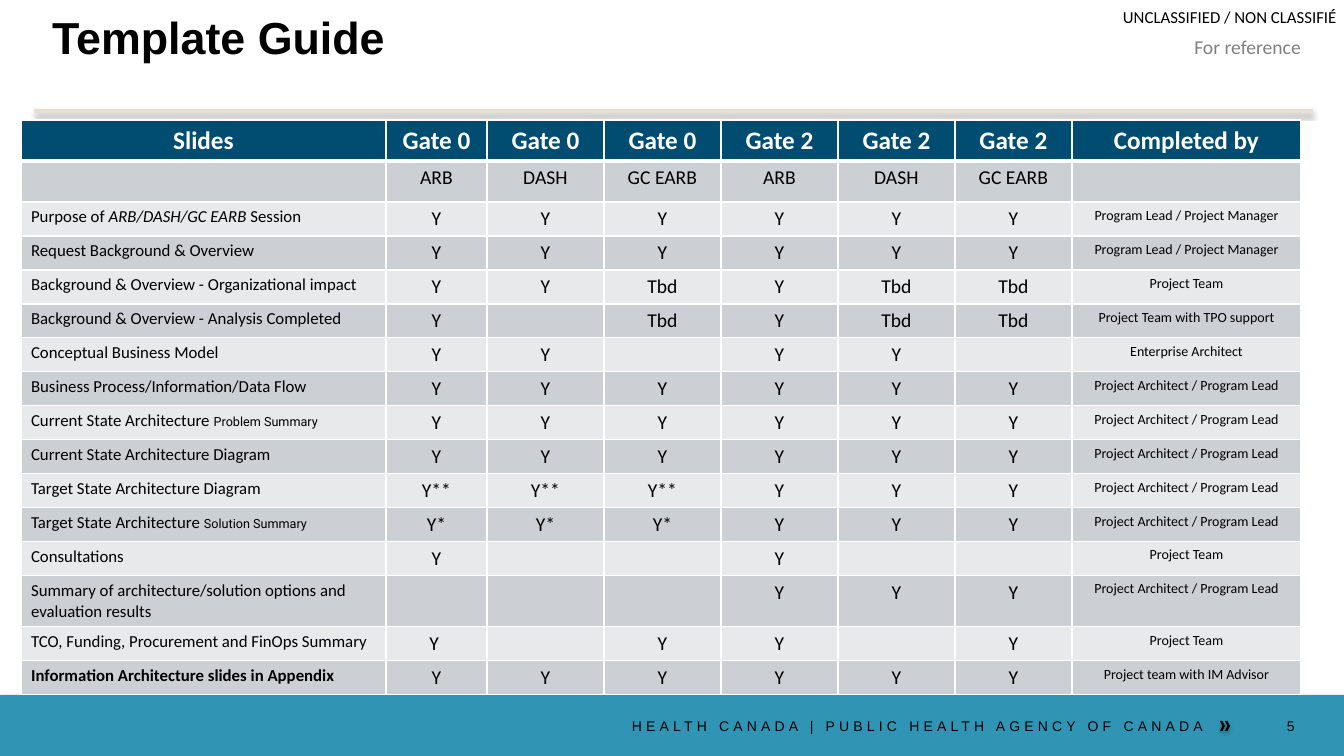
from lxml.etree import SubElement
from pptx import Presentation
from pptx.dml.color import RGBColor
from pptx.enum.shapes import MSO_CONNECTOR, MSO_SHAPE
from pptx.enum.text import MSO_ANCHOR, MSO_AUTO_SIZE, PP_ALIGN
from pptx.oxml.ns import qn
from pptx.util import Emu, Pt

TITLE = "Template Guide"
HEADER = ["Slides", *["Gate 0"] * 3, *["Gate 2"] * 3, "Completed by"]
BOARDS = ["", *["ARB", "DASH", "GC EARB"] * 2, ""]
LEAD = "Program Lead / Project Manager"
ARCHITECT = "Project Architect / Program Lead"
ITALIC = {"italic": True}
SMALL = {"size": 9, "name": "Roboto"}
GUIDE = [
    ([("Purpose of ", {}), ("ARB/DASH/GC EARB ", ITALIC), ("Session", {})], "Y|Y|Y|Y|Y|Y", LEAD),
    ([("Request Background & Overview", {})], "Y|Y|Y|Y|Y|Y", LEAD),
    ([("Background & Overview - Organizational impact", {})], "Y|Y|Tbd|Y|Tbd|Tbd", "Project Team"),
    ([("Background & Overview - Analysis Completed", {})], "Y||Tbd|Y|Tbd|Tbd", "Project Team with TPO support"),
    ([("Conceptual Business Model", {})], "Y|Y||Y|Y|", "Enterprise Architect"),
    ([("Business Process/Information/Data Flow", {})], "Y|Y|Y|Y|Y|Y", ARCHITECT),
    ([("Current State Architecture ", {}), ("Problem Summary", SMALL)], "Y|Y|Y|Y|Y|Y", ARCHITECT),
    ([("Current State Architecture Diagram", {})], "Y|Y|Y|Y|Y|Y", ARCHITECT),
    ([("Target State Architecture Diagram", {})], "Y**|Y**|Y**|Y|Y|Y", ARCHITECT),
    ([("Target State Architecture ", {}), ("Solution Summary", SMALL)], "Y*|Y*|Y*|Y|Y|Y", ARCHITECT),
    ([("Consultations", {})], "Y|||Y||", "Project Team"),
    ([("Summary of architecture/solution options and evaluation results", {})], "|||Y|Y|Y", ARCHITECT),
    ([("TCO, Funding, Procurement and FinOps Summary", {})], "Y ||Y|Y||Y", "Project Team"),
    ([("Information Architecture slides in Appendix", {"bold": True})], "Y|Y|Y|Y|Y|Y", "Project team with IM Advisor"),
]
COLUMN_WIDTHS = [365, 101, *[117] * 5, 229]
ROW_HEIGHTS = [41, 41, *[34] * 11, 51, 34, 34]
CHEVRON_LEFTS = [1220, 1225]
RIGHT, LEFT, CENTER = PP_ALIGN.RIGHT, PP_ALIGN.LEFT, PP_ALIGN.CENTER
TEXT_BOXES = [
    ("UNCLASSIFIED / NON CLASSIFIÉ", (1123, 7, 218, 20), (0, 0, 0, 0), LEFT, {"size": 12}, 0),
    ("HEALTH CANADA | PUBLIC HEALTH AGENCY OF CANADA", (591, 718, 612, 22), (0, 0, 0, 5), RIGHT,
     {"size": 10, "name": "Arial"}, 3),
    ("For reference", (1164, 30, 147, 34), (10, 5, 10, 5), RIGHT, {"size": 14, "color": "808080"}, 0),
    ("5", (1265, 718, 56, 22), (22, 0, 10, 5), LEFT, {"size": 10, "name": "Arial"}, 0),
]


def px(length):
    """Turn pixels into EMU."""
    return Emu(round(length * 914400 / 100.8))


def color(value):
    """Turn a hex string into a colour."""
    return RGBColor.from_string(value)


def add_run(paragraph, text, size=12, name="Calibri", color_hex="000000", bold=False, italic=False):
    """Add one formatted run."""
    run = paragraph.add_run()
    run.text = text
    font = run.font
    font.size, font.name, font.bold, font.italic = Pt(size), name, bold, italic
    font.color.rgb = color(color_hex)
    return run


def add_shadow(shape):
    """Give a shape a soft shadow that falls downwards."""
    effects = SubElement(shape._element.spPr, qn("a:effectLst"))
    shadow = SubElement(effects, qn("a:outerShdw"), blurRad="40000", dist="23000", dir="5400000", rotWithShape="0")
    black = SubElement(shadow, qn("a:srgbClr"), val="000000")
    SubElement(black, qn("a:alpha"), val="35000")


def add_filled(slide, kind, box, fill):
    """Add a preset shape without outline."""
    shape = slide.shapes.add_shape(kind, *map(px, box))
    shape.fill.solid()
    shape.fill.fore_color.rgb = color(fill)
    shape.line.fill.background()
    add_shadow(shape)


def add_text(slide, text, box, insets, align, style, spacing):
    """Add a one-line text box."""
    frame = slide.shapes.add_textbox(*map(px, box)).text_frame
    frame.word_wrap = True
    frame.margin_left, frame.margin_top, frame.margin_right, frame.margin_bottom = map(px, insets)
    paragraph = frame.paragraphs[0]
    paragraph.alignment = align
    style = dict(style)
    run = add_run(paragraph, text, color_hex=style.pop("color", "000000"), **style)
    if spacing:
        run.font._element.set("spc", str(spacing * 100))


def fill_cell(cell, runs, align, fill, thick_side, empty_size):
    """Write a cell and set its white borders and fill."""
    properties = cell._tc.get_or_add_tcPr()
    for side in ("lnL", "lnR", "lnT", "lnB"):
        width = Pt(3 if side == thick_side else 1)
        border = SubElement(properties, qn(f"a:{side}"), w=str(width))
        SubElement(SubElement(border, qn("a:solidFill")), qn("a:srgbClr"), val="FFFFFF")
    cell.fill.solid()
    cell.fill.fore_color.rgb = color(fill)
    paragraph = cell.text_frame.paragraphs[0]
    paragraph.alignment = align
    for text, style in runs:
        if text:
            add_run(paragraph, text, **style)
        else:
            SubElement(paragraph._p, qn("a:endParaRPr"), sz=str(empty_size * 100))


def guide_rows():
    """Return every table row as lists of runs."""
    heading = {"size": 18, "color_hex": "FFFFFF", "bold": True}
    rows = [[[(text, heading)] for text in HEADER], [[(text, {"size": 14})] for text in BOARDS]]
    for label, marks, owner in GUIDE:
        mark_cells = [[(mark, {"size": 14})] for mark in marks.split("|")]
        rows.append([label, *mark_cells, [(owner, {"size": 10})]])
    return rows


def add_guide(slide):
    """Add the table of slides by gate."""
    rows = guide_rows()
    box = (21, 120, sum(COLUMN_WIDTHS), sum(ROW_HEIGHTS))
    table = slide.shapes.add_table(len(rows), len(HEADER), *map(px, box)).table
    table.horz_banding = False
    for column, width in zip(table.columns, COLUMN_WIDTHS):
        column.width = px(width)
    for index, (row, height) in enumerate(zip(rows, ROW_HEIGHTS)):
        table.rows[index].height = px(height)
        fill = "004D71" if index == 0 else ("E7E9EB", "CCD0D5")[index % 2]
        thick_side = {0: "lnB", 1: "lnT"}.get(index)
        for position, runs in enumerate(row):
            align = LEFT if position == 0 and index > 1 else CENTER
            fill_cell(table.cell(index, position), runs, align, fill, thick_side, 18 if index == 1 else 14)


def add_title(slide):
    """Place and format the title."""
    title = slide.shapes.title
    title.left, title.top, title.width, title.height = map(px, (42, 0, 1260, 74))
    frame = title.text_frame
    frame.auto_size = MSO_AUTO_SIZE.NONE
    frame.vertical_anchor = MSO_ANCHOR.MIDDLE
    frame.paragraphs[0].alignment = LEFT
    add_run(frame.paragraphs[0], TITLE, 32, "Arial", bold=True)


def main():
    """Build the slide and save it."""
    presentation = Presentation()
    presentation.slide_width, presentation.slide_height = px(1344), px(756)
    slide = presentation.slides.add_slide(presentation.slide_layouts[5])
    add_title(slide)
    add_filled(slide, MSO_SHAPE.RECTANGLE, (0, 695, 1344, 61), "3095B4")
    for left in CHEVRON_LEFTS:
        add_filled(slide, MSO_SHAPE.CHEVRON, (left, 721, 5, 10), "000000")
    rule = slide.shapes.add_connector(MSO_CONNECTOR.STRAIGHT, px(34), px(111), px(1313), px(111))
    rule.line.color.rgb = color("E8DFD2")
    rule.line.width = Pt(3)
    add_shadow(rule)
    add_guide(slide)
    for text_box in TEXT_BOXES:
        add_text(slide, *text_box)
    presentation.save("out.pptx")


if __name__ == "__main__":
    main()
